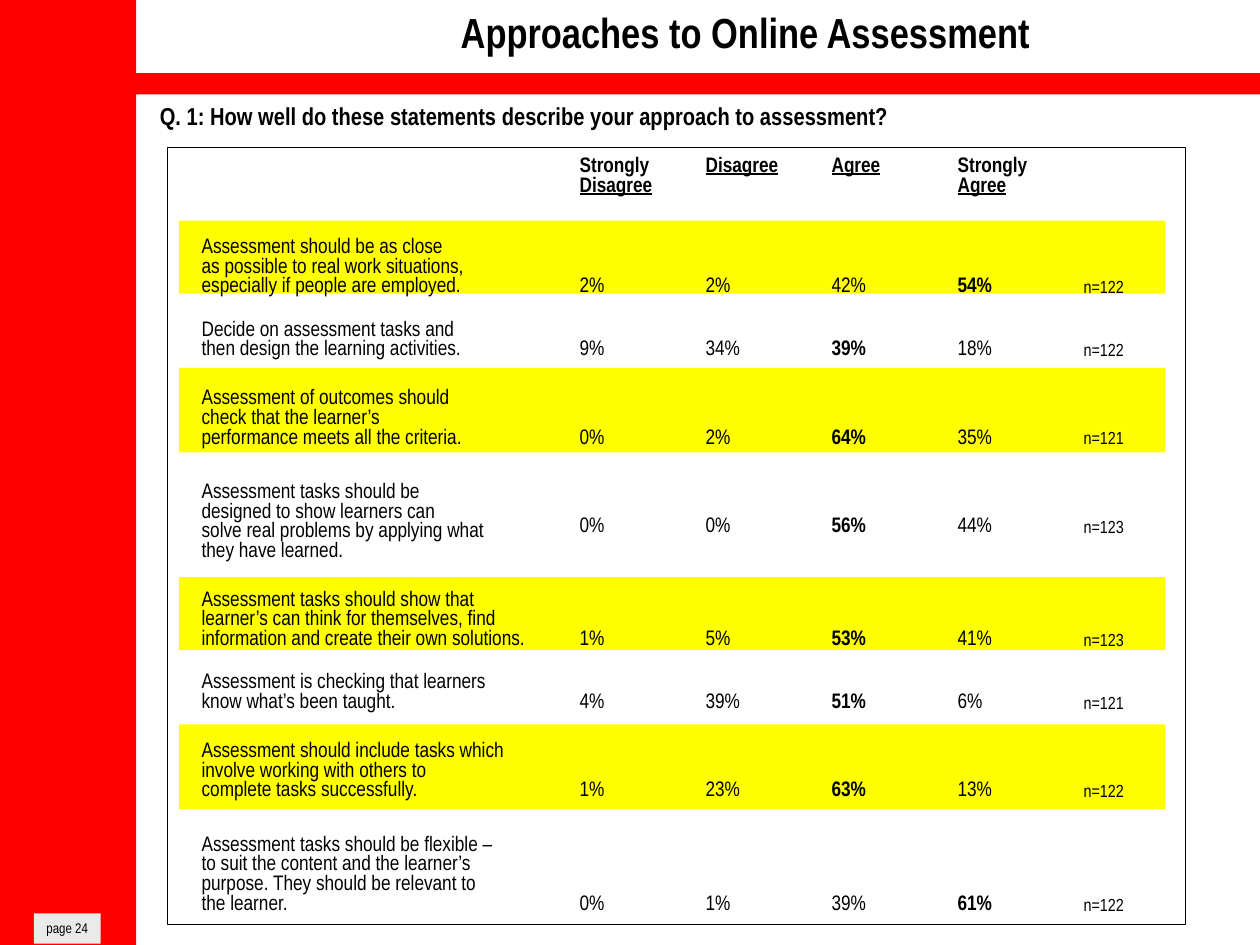
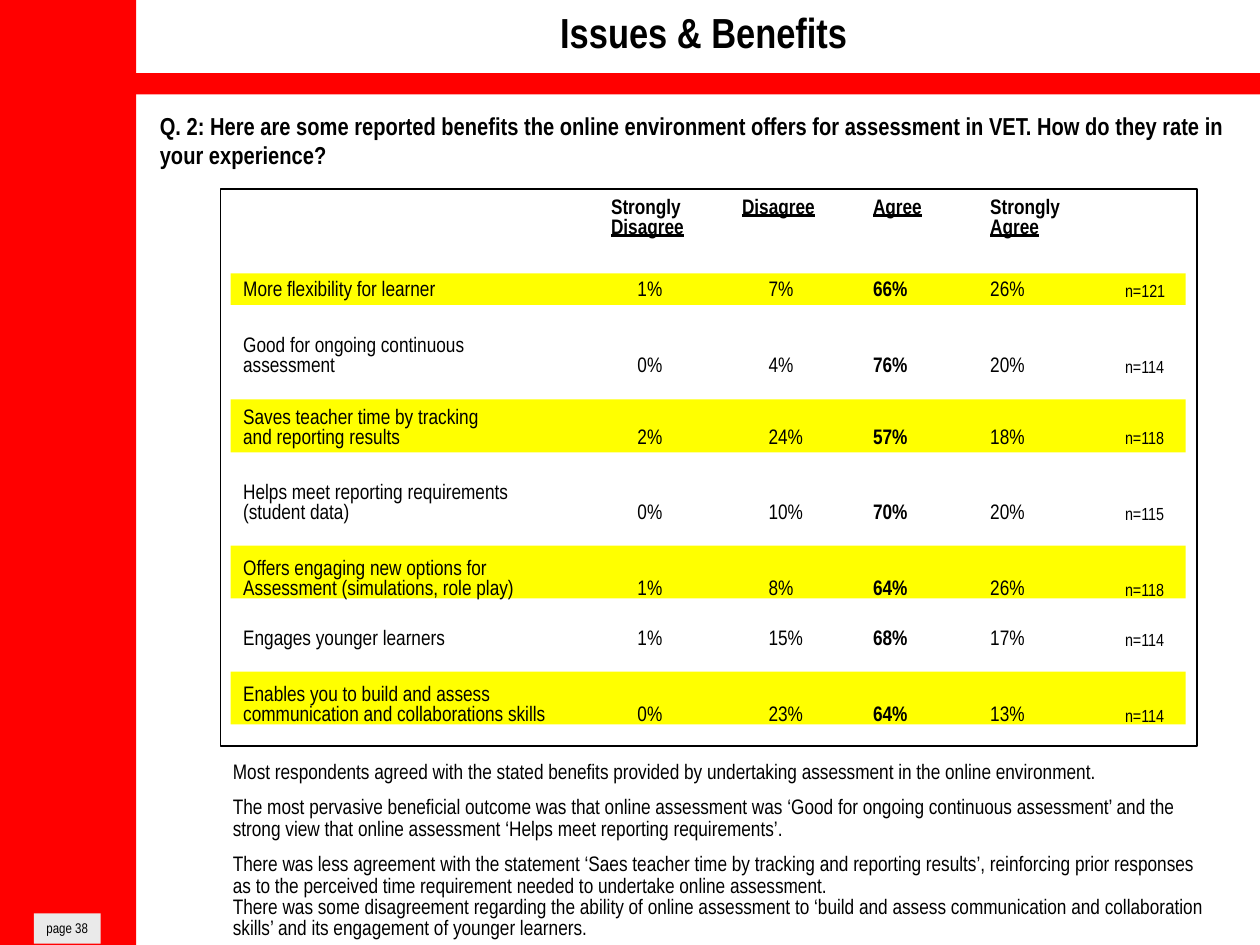
from pptx import Presentation
from pptx import util as u
from pptx.dml.color import RGBColor
from pptx.enum import shapes, text

RED, YELLOW, GREY, BLACK = "FF0000", "FFFF00", "EAEAEA", "000000"
FONT = "Arial Narrow"
PLAIN = "{2D5ABB26-0587-4C30-8999-92F81FD0307C}"
LINE = 0.2
HEADS = ["Strongly\nDisagree", "Disagree", "Agree", "Strongly\nAgree"]


def color(code):
    return RGBColor.from_string(code)


def place(at):
    return [u.Inches(n) for n in at]


class Deck:
    def __init__(self):
        self.prs = Presentation()
        self.prs.slide_width, self.prs.slide_height = place((10, 7.5))
        self.slide = None

    def page(self, number, title, left, bands):
        self.slide = self.prs.slides.add_slide(self.prs.slide_layouts[6])
        for band in bands:
            self.box(band, YELLOW)
        self.box((0, 0, 1.08, 7.5), RED)
        self.box((1.08, 0.58, 8.92, 0.17), RED)
        label = self.box((0.27, 7.25, 0.53, 0.24), GREY)
        self.put(label.text_frame, f"page {number}", 8, wrap=False)
        self.label((left, 0, 8.83, 0.5), title, 24, True, text.PP_ALIGN.CENTER)

    def box(self, at, fill=None):
        shape = self.slide.shapes.add_shape(shapes.MSO_SHAPE.RECTANGLE, *place(at))
        shape.shadow.inherit = False
        if fill:
            shape.fill.solid()
            shape.fill.fore_color.rgb = color(fill)
            shape.line.fill.background()
        else:
            shape.fill.background()
            shape.line.color.rgb = color(BLACK)
            shape.line.width = u.Pt(0.75)
        return shape

    def style(self, para, size, bold=False, align=text.PP_ALIGN.LEFT):
        para.alignment = align
        font = para.font
        font.name, font.size, font.bold = FONT, u.Pt(size), bold
        font.color.rgb = color(BLACK)

    def put(self, frame, words, size, bold=False, align=text.PP_ALIGN.LEFT, wrap=True):
        frame.text = words
        frame.word_wrap = wrap
        frame.auto_size = text.MSO_AUTO_SIZE.SHAPE_TO_FIT_TEXT
        frame.vertical_anchor = text.MSO_ANCHOR.TOP
        for para in frame.paragraphs:
            self.style(para, size, bold, align)

    def label(self, at, words, size, bold=False, align=text.PP_ALIGN.LEFT):
        shape = self.slide.shapes.add_textbox(*place(at))
        self.put(shape.text_frame, words, size, bold, align)
        return shape.text_frame

    def notes(self, at, items):
        frame = self.label(at, "\n".join(words for words, _ in items), 12)
        for para, (_, gap) in zip(frame.paragraphs, items):
            para.line_spacing = 0.85
            if gap:
                para.space_before = u.Pt(gap)

    def cell(self, cell, words, size=12, bold=False, left=0, top=0, bottom=0, head=False):
        cell.fill.background()
        cell.margin_left, cell.margin_top, cell.margin_bottom = place((left, top, bottom))
        cell.margin_right = 0
        cell.vertical_anchor = text.MSO_ANCHOR.TOP if head else text.MSO_ANCHOR.BOTTOM
        cell.text = words
        paras = cell.text_frame.paragraphs
        for para in paras:
            self.style(para, size, bold)
        if head:
            paras[-1].font.underline = True

    def survey(self, left, top, widths, rows, gap, shifts=(0, 0, 0, 0), gaps={}, lifts={}):
        highs = [0.44] + [
            gaps.get(i, gap) + LINE * len(row[0].split("\n")) for i, row in enumerate(rows)
        ]
        at = place((left, top, sum(widths), sum(highs)))
        table = self.slide.shapes.add_table(len(highs), len(widths), *at).table
        table.first_row = table.horz_banding = False
        table._tbl.tblPr[0].text = PLAIN
        for col, wide in zip(table.columns, widths):
            col.width = u.Inches(wide)
        for row, high in zip(table.rows, highs):
            row.height = u.Inches(high)
        for col, words in enumerate(["", *HEADS, ""]):
            self.cell(table.cell(0, col), words, bold=True, top=0.03, head=bool(words))
        for i, (words, rates, count) in enumerate(rows):
            line, lift = i + 1, lifts.get(i, 0)
            self.cell(table.cell(line, 0), words)
            for col, (rate, shift) in enumerate(zip(rates, shifts), 1):
                self.cell(table.cell(line, col), f"{rate}%", bold=rate == max(rates),
                          left=shift, bottom=lift)
            self.cell(table.cell(line, 5), f"n={count}", 10, bottom=lift)


APPROACH = [
    ("Assessment should be as close\nas possible to real work situations,\n"
     "especially if people are employed.", (2, 2, 42, 54), 122),
    ("Decide on assessment tasks and\nthen design the learning activities.",
     (9, 34, 39, 18), 122),
    ("Assessment of outcomes should\ncheck that the learner’s\n"
     "performance meets all the criteria.", (0, 2, 64, 35), 121),
    ("Assessment tasks should be\ndesigned to show learners can\n"
     "solve real problems by applying what\nthey have learned.", (0, 0, 56, 44), 123),
    ("Assessment tasks should show that\nlearner’s can think for themselves, find\n"
     "information and create their own solutions.", (1, 5, 53, 41), 123),
    ("Assessment is checking that learners\nknow what’s been taught.",
     (4, 39, 51, 6), 121),
    ("Assessment should include tasks which\ninvolve working with others to\n"
     "complete tasks successfully.", (1, 23, 63, 13), 122),
    ("Assessment tasks should be flexible –\nto suit the content and the learner’s\n"
     "purpose. They should be relevant to\nthe learner.", (0, 1, 39, 61), 122),
]

BENEFITS = [
    ("More flexibility for learner", (1, 7, 66, 26), 121),
    ("Good for ongoing continuous\nassessment", (0, 4, 76, 20), 114),
    ("Saves teacher time by tracking\nand reporting results", (2, 24, 57, 18), 118),
    ("Helps meet reporting requirements\n(student data)", (0, 10, 70, 20), 115),
    ("Offers engaging new options for\nAssessment (simulations, role play)",
     (1, 8, 64, 26), 118),
    ("Engages younger learners", (1, 15, 68, 17), 114),
    ("Enables you to build and assess\ncommunication and collaborations skills",
     (0, 23, 64, 13), 114),
]

NOTES = [
    ("Most respondents agreed with the stated benefits provided by undertaking "
     "assessment in the online environment.", 0),
    ("The most pervasive beneficial outcome was that online assessment was ‘Good for "
     "ongoing continuous assessment’ and the strong view that online assessment "
     "‘Helps meet reporting requirements’.", 8),
    ("There was less agreement with the statement ‘Saes teacher time by tracking and "
     "reporting results’, reinforcing prior responses as to the perceived time "
     "requirement needed to undertake online assessment.", 8),
    ("There was some disagreement regarding the ability of online assessment to ‘build "
     "and assess communication and collaboration skills’ and its engagement of "
     "younger learners.", 0),
]


def main():
    deck = Deck()

    bands = [(1.42, top, 7.83, high) for top, high in
             ((1.75, 0.58), (2.92, 0.67), (4.58, 0.58), (5.75, 0.67))]
    deck.page(24, "Approaches to Online Assessment", 1.5, bands)
    deck.label((1.17, 0.75, 8.83, 0.34),
               "Q. 1: How well do these statements describe your approach to assessment?",
               14, True)
    deck.survey(1.6, 1.22, (3, 1, 1, 1, 1, 0.65), APPROACH, 0.1, lifts={3: LINE})
    deck.box((1.33, 1.17, 8.08, 6.17))

    bands = [(1.83, top, 7.58, high) for top, high in
             ((2.17, 0.25), (3.17, 0.42), (4.33, 0.42), (5.33, 0.42))]
    deck.page(38, "Issues & Benefits", 1.17, bands)
    deck.label((1.17, 0.83, 8.83, 0.57),
               "Q. 2: Here are some reported benefits the online environment offers for "
               "assessment in VET. How do they rate in your experience?", 14, True)
    deck.survey(1.93, 1.55, (2.92, 1.04, 1.04, 0.93, 1.07, 0.5), BENEFITS, LINE,
                shifts=(0.21, 0.21, 0, 0), gaps={2: 0.17})
    deck.box((1.75, 1.5, 7.75, 4.42))
    deck.notes((1.75, 6, 8, 1.52), NOTES)

    deck.prs.save("out.pptx")


if __name__ == "__main__":
    main()
